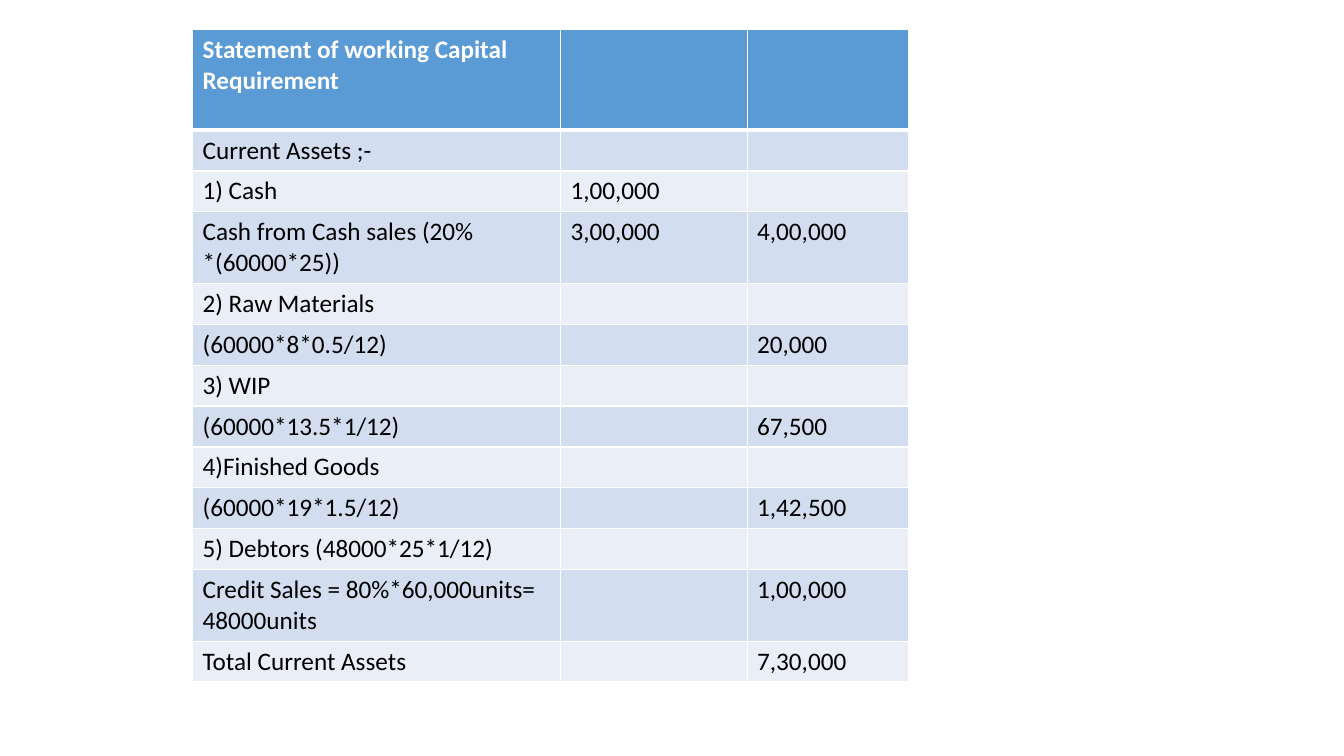
import lxml.etree
import pptx
import pptx.dml.color
import pptx.oxml.ns
import pptx.util

Inches = pptx.util.Inches

COLORS = {
    "header": "5B9BD5",
    "odd_row": "D2DEEF",
    "even_row": "EAEFF7",
    "border": "FFFFFF",
    "header_text": "FFFFFF",
    "text": "000000",
}
COLUMN_WIDTHS = [3.65, 1.85, 1.6]
HEADER_HEIGHT, LINE_HEIGHT, TWO_LINE_HEIGHT = 1.0, 0.4, 0.7
STATEMENT = [
    ("Statement of working Capital Requirement", "", "", HEADER_HEIGHT),
    ("Current Assets ;-", "", "", LINE_HEIGHT),
    ("1) Cash", "1,00,000", "", LINE_HEIGHT),
    ("Cash from Cash sales (20% *(60000*25))", "3,00,000", "4,00,000", TWO_LINE_HEIGHT),
    ("2) Raw Materials", "", "", LINE_HEIGHT),
    ("(60000*8*0.5/12)", "", "20,000", LINE_HEIGHT),
    ("3) WIP", "", "", LINE_HEIGHT),
    ("(60000*13.5*1/12)", "", "67,500", LINE_HEIGHT),
    ("4)Finished Goods", "", "", LINE_HEIGHT),
    ("(60000*19*1.5/12)", "", "1,42,500", LINE_HEIGHT),
    ("5) Debtors (48000*25*1/12)", "", "", LINE_HEIGHT),
    ("Credit Sales = 80%*60,000units= 48000units", "", "1,00,000", TWO_LINE_HEIGHT),
    ("Total Current Assets", "", "7,30,000", LINE_HEIGHT),
]


def write(cell, text, *, color, bold=False, size=18, font="Calibri"):
    paragraph = cell.text_frame.paragraphs[0]
    paragraph.font.size = pptx.util.Pt(size)
    if text:
        run = paragraph.add_run()
        run.text = text
        run.font.name = font
        run.font.size = pptx.util.Pt(size)
        run.font.bold = bold
        run.font.color.rgb = pptx.dml.color.RGBColor.from_string(color)


def set_borders(cell, color, **widths):
    """Draw solid borders; widths maps L, R, T and B, in that order, to points."""
    properties = cell._tc.get_or_add_tcPr()
    qn = pptx.oxml.ns.qn
    for side, width in widths.items():
        line = lxml.etree.SubElement(properties, qn(f"a:ln{side}"), w=str(pptx.util.Pt(width)))
        fill = lxml.etree.SubElement(line, qn("a:solidFill"))
        lxml.etree.SubElement(fill, qn("a:srgbClr"), val=color)


presentation = pptx.Presentation()
presentation.slide_width = Inches(13.33)
presentation.slide_height = Inches(7.5)
slide = presentation.slides.add_slide(presentation.slide_layouts[6])

table = slide.shapes.add_table(
    len(STATEMENT), len(COLUMN_WIDTHS), Inches(1.91), Inches(0.29),
    Inches(sum(COLUMN_WIDTHS)), Inches(sum(row[-1] for row in STATEMENT)),
).table
for column, width in zip(table.columns, COLUMN_WIDTHS):
    column.width = Inches(width)

for row_index, (*texts, height) in enumerate(STATEMENT):
    table.rows[row_index].height = Inches(height)
    is_header = row_index == 0
    if is_header:
        fill_name = "header"
    else:
        fill_name = "odd_row" if row_index % 2 else "even_row"
    for column_index, text in enumerate(texts):
        cell = table.cell(row_index, column_index)
        write(cell, text, color=COLORS["header_text" if is_header else "text"], bold=is_header)
        set_borders(cell, COLORS["border"], L=1, R=1,
                    T=3 if row_index == 1 else 1, B=3 if is_header else 1)
        cell.fill.solid()
        cell.fill.fore_color.rgb = pptx.dml.color.RGBColor.from_string(COLORS[fill_name])

presentation.save("out.pptx")
